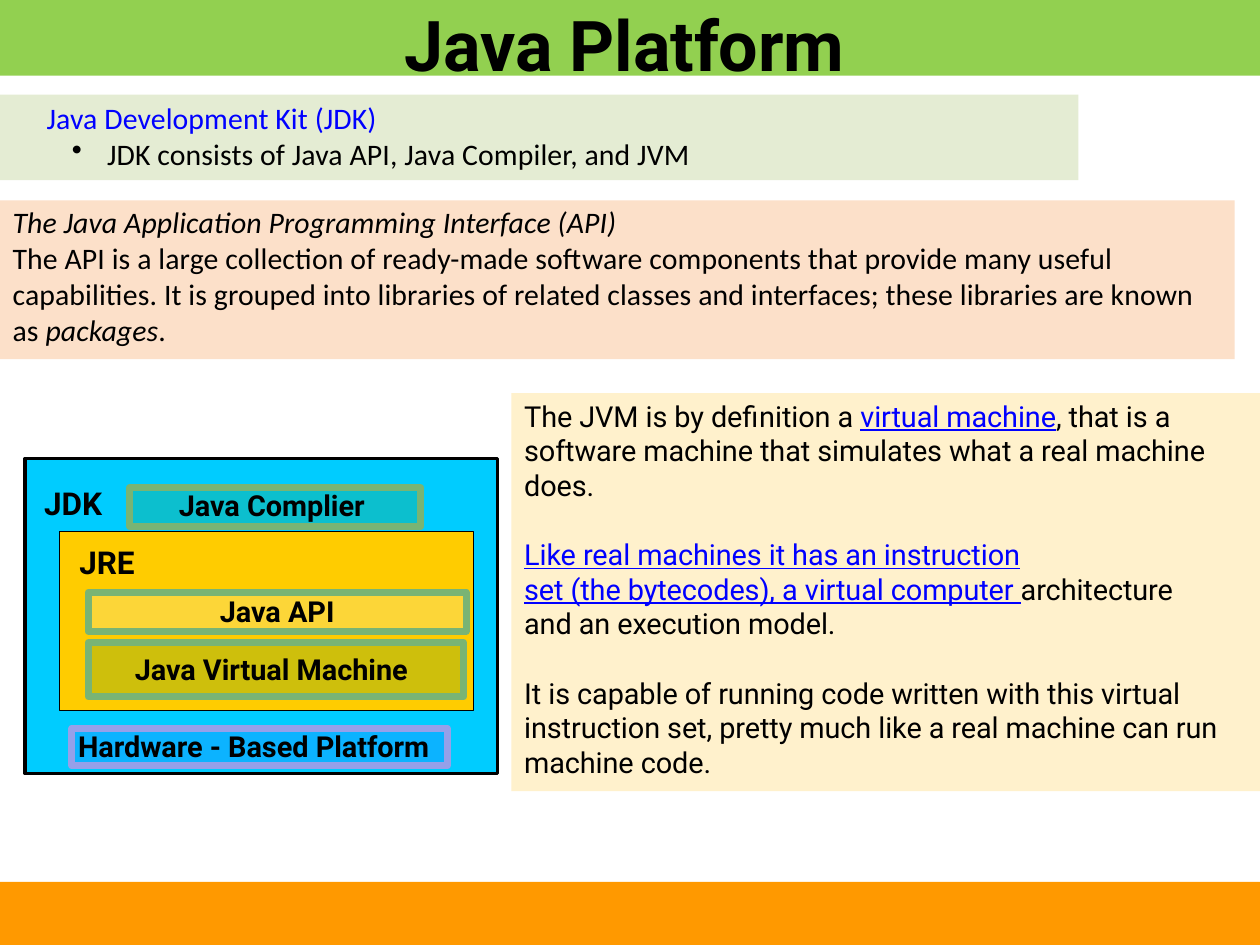
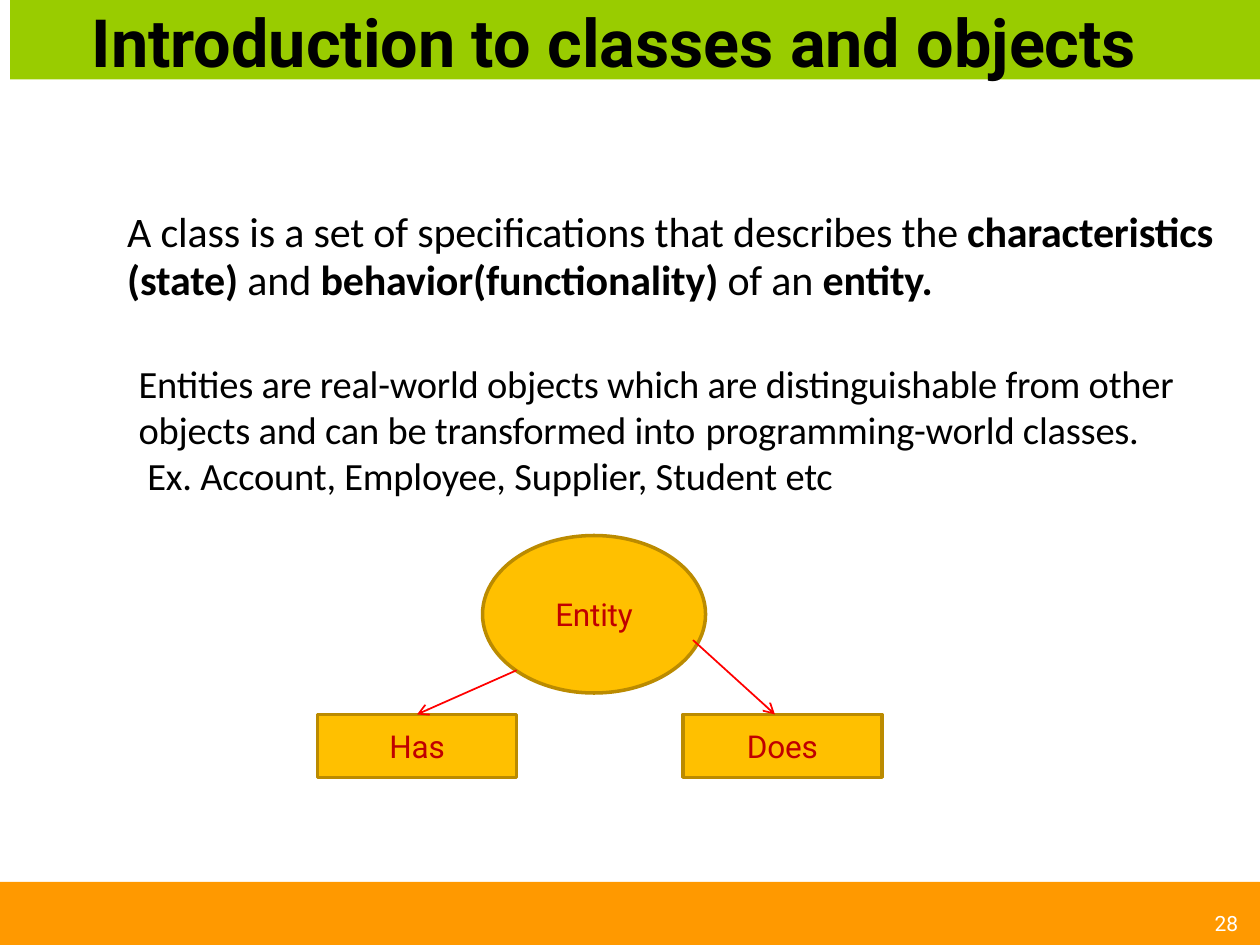
from dataclasses import dataclass, field
from typing import NamedTuple, Optional

from lxml import etree
from pptx import Presentation
from pptx.dml.color import RGBColor
from pptx.enum.shapes import MSO_CONNECTOR, MSO_SHAPE
from pptx.enum.text import MSO_ANCHOR, MSO_AUTO_SIZE, PP_ALIGN
from pptx.oxml.ns import qn
from pptx.util import Inches, Pt

RECT, OVAL = MSO_SHAPE.RECTANGLE, MSO_SHAPE.OVAL
STRAIGHT = MSO_CONNECTOR.STRAIGHT
TOP, MIDDLE = MSO_ANCHOR.TOP, MSO_ANCHOR.MIDDLE
LEFT, CENTER = PP_ALIGN.LEFT, PP_ALIGN.CENTER
NO_FIT = MSO_AUTO_SIZE.NONE

# Grid: 100 columns by 75 rows over the slide
SLIDE_W, SLIDE_H = Inches(10), Inches(7.5)
CELL = SLIDE_W / 100

BLACK = RGBColor(0x00, 0x00, 0x00)
WHITE = RGBColor(0xFF, 0xFF, 0xFF)
BLUE = RGBColor(0x00, 0x00, 0xFF)
RED = RGBColor(0xFF, 0x00, 0x00)
DARK_RED = RGBColor(0xC0, 0x00, 0x00)
ORANGE = RGBColor(0xFF, 0x99, 0x00)
BAND_GREEN = RGBColor(0x92, 0xD0, 0x50)
BAND_LIME = RGBColor(0x99, 0xCC, 0x00)
PALE_GREEN = RGBColor(0xE4, 0xEC, 0xD3)
PEACH = RGBColor(0xFC, 0xE0, 0xC9)
CREAM = RGBColor(0xFF, 0xF1, 0xCC)
CYAN = RGBColor(0x00, 0xCC, 0xFF)
YELLOW = RGBColor(0xFF, 0xCC, 0x00)
GREEN = RGBColor(0x33, 0x99, 0x33)
IVORY = RGBColor(0xF3, 0xF7, 0xEB)
ROYAL = RGBColor(0x33, 0x66, 0xFF)
SAGE = RGBColor(0x79, 0xB4, 0x74)
LILAC = RGBColor(0x96, 0xA0, 0xE9)
GOLD = RGBColor(0xFF, 0xC0, 0x00)
DARK_GOLD = RGBColor(0xBB, 0x8B, 0x00)

ROBOTO = {"name": "Roboto", "size": Pt(16.5), "color": BLACK}
LABEL = ROBOTO | {"bold": True}
CALIBRI = {"name": "Calibri", "size": Pt(17), "color": BLACK}
ENTITY = ROBOTO | {"size": Pt(18), "color": DARK_RED}
BOLD, ITALIC = {"bold": True}, {"italic": True}
LINK = {"color": BLUE, "underline": True}


class Box(NamedTuple):
    col: float
    row: float
    cols: float
    rows: float


class Run(NamedTuple):
    text: str
    fmt: dict = {}


@dataclass
class Para:
    runs: list
    margin: float = 0
    indent: float = 0
    before: float = 0
    line: Optional[float] = None
    bullet: str = ""
    tab: float = 0


@dataclass
class Text:
    paras: list
    fmt: dict
    left: float = 0
    top: float = 0.1
    align: PP_ALIGN = LEFT
    anchor: MSO_ANCHOR = TOP
    tracking: float = 0


@dataclass
class Panel:
    box: Box
    fill: RGBColor
    line: Optional[RGBColor] = None
    weight: float = 0
    alpha: int = 100
    kind: MSO_SHAPE = RECT
    text: Optional[Text] = field(default=None)


def cells(n: float) -> int:
    return round(n * CELL)


def plain(text: str, **layout) -> Para:
    return Para([Run(text)], **layout)


def format_para(p, para: Para, align: PP_ALIGN) -> None:
    pPr = p._p.get_or_add_pPr()
    pPr.set("marL", str(cells(para.margin)))
    pPr.set("indent", str(cells(para.indent)))
    p.alignment = align
    p.space_before = Pt(para.before)
    if para.line:
        p.line_spacing = Pt(para.line)
    if para.bullet:
        etree.SubElement(pPr, qn("a:buChar"), char=para.bullet)
    if para.tab:
        tabs = etree.SubElement(pPr, qn("a:tabLst"))
        etree.SubElement(tabs, qn("a:tab"), pos=str(cells(para.tab)), algn="l")


def write(sp, text: Text) -> None:
    tf = sp.text_frame
    frame = {"word_wrap": True, "auto_size": NO_FIT, "vertical_anchor": text.anchor,
             "margin_left": cells(text.left), "margin_top": cells(text.top),
             "margin_right": 0, "margin_bottom": 0}
    for name, value in frame.items():
        setattr(tf, name, value)
    for i, para in enumerate(text.paras):
        p = tf.add_paragraph() if i else tf.paragraphs[0]
        format_para(p, para, text.align)
        for run in para.runs:
            r = p.add_run()
            r.text = run.text
            for name, value in (text.fmt | run.fmt).items():
                if name == "color":
                    r.font.color.rgb = value
                else:
                    setattr(r.font, name, value)
            if text.tracking:
                r._r.get_or_add_rPr().set("spc", str(round(text.tracking * 100)))


def add_text(slide, box: Box, text: Text) -> None:
    write(slide.shapes.add_textbox(*map(cells, box)), text)


def add_panel(slide, panel: Panel) -> None:
    sp = slide.shapes.add_shape(panel.kind, *map(cells, panel.box))
    sp.shadow.inherit = False
    sp.fill.solid()
    sp.fill.fore_color.rgb = panel.fill
    if panel.alpha < 100:
        color = sp._element.spPr.find(qn("a:solidFill"))[0]
        etree.SubElement(color, qn("a:alpha"), val=str(panel.alpha * 1000))
    if panel.line is None:
        sp.line.fill.background()
    else:
        sp.line.color.rgb = panel.line
        sp.line.width = Pt(panel.weight)
    if panel.text:
        write(sp, panel.text)


def add_arrow(slide, start: tuple, end: tuple) -> None:
    cx = slide.shapes.add_connector(STRAIGHT, *map(cells, start + end))
    cx.line.color.rgb = RED
    cx.line.width = Pt(1)
    etree.SubElement(cx.line._get_or_add_ln(), qn("a:tailEnd"), type="arrow")
    etree.SubElement(cx._element.spPr, qn("a:effectLst"))


def start_slide(prs, title: str, size: float, box: Box, band: Panel):
    """Add a slide with its title, title band and footer band."""
    slide = prs.slides.add_slide(prs.slide_layouts[5])
    add_panel(slide, Panel(Box(0, 70, 100, 5), ORANGE))
    add_panel(slide, band)
    sp = slide.shapes.title
    slide.shapes._spTree.append(sp._element)  # bring in front of the band
    sp.left, sp.top, sp.width, sp.height = map(cells, box)
    write(sp, Text([plain(title)], LABEL | {"size": Pt(size)}, left=0.1, tracking=-0.05))
    return slide


def build_platform(prs) -> None:
    slide = start_slide(prs, "Java Platform", 40, Box(32, 0, 36.1, 6.9),
                        Panel(Box(0, 0, 100, 6), BAND_GREEN))

    # Nested platform diagram
    def layer(box: Box, fill: RGBColor, line: RGBColor, name: str, **layout) -> Panel:
        return Panel(box, fill, line, 4, 24, text=Text([plain(name)], LABEL, **layout))

    for panel in (
        Panel(Box(2, 36.4, 37.5, 25), CYAN, BLACK, 2),
        Panel(Box(4.7, 42.2, 32.9, 14.2), YELLOW, BLACK, 0.75),
        layer(Box(7, 51, 29.8, 4.3), GREEN, SAGE, "Java Virtual Machine", left=3.7, top=0.7),
        layer(Box(7, 47, 30, 3.1), IVORY, SAGE, "Java API", align=CENTER),
        layer(Box(5.7, 57.8, 29.8, 3), ROYAL, LILAC, "Hardware - Based Platform",
              left=0.5, top=0),
        layer(Box(10.3, 38.7, 23.1, 3.1), GREEN, SAGE, "Java Complier", left=3.9, top=0),
    ):
        add_panel(slide, panel)
    add_text(slide, Box(3.5, 36.6, 8, 9.7),
             Text([plain("JDK"), plain("JRE", margin=2.8, before=12.2)],
                  LABEL | {"size": Pt(18)}, top=1.8))

    # Virtual machine notes, evenly spaced
    add_panel(slide, Panel(Box(40.6, 31.2, 59.4, 31.6), CREAM))
    notes = [
        [Para([Run("The JVM is by definition a "), Run("virtual machine", LINK),
               Run(", that is a software machine that simulates what a real machine does.")])],
        [Para([Run("Like real machines it has an instruction", LINK)]),
         Para([Run("set (the bytecodes), a virtual computer ", LINK), Run("architecture")]),
         plain("and an execution model.")],
        [plain("It is capable of running code written with this virtual instruction set, "
               "pretty much like a real machine can run machine code.")],
    ]
    for i, paras in enumerate(notes):
        add_text(slide, Box(41.5, 31.5 + 11 * i, 55.5, 8.5),
                 Text(paras, ROBOTO, left=0.1, tracking=-0.04))

    # Development kit and API description
    add_panel(slide, Panel(Box(0, 7.5, 85.6, 6.8), PALE_GREEN))
    add_panel(slide, Panel(Box(0, 15.9, 98, 12.6), PEACH))
    add_text(slide, Box(0.9, 7.7, 94.6, 20.2), Text([
        Para([Run("Java Development Kit (JDK)", {"color": BLUE})], margin=2.8),
        plain("JDK consists of Java API, Java Compiler, and JVM",
              margin=7.6, indent=-2.8, before=0.2, bullet="•"),
        Para([Run("The Java Application Programming Interface (API)", ITALIC)],
             margin=0.1, before=18.5),
        plain("The API is a large collection of ready-made software components "
              "that provide many useful", margin=0.1, before=0.2),
        Para([Run("capabilities. It is grouped into libraries of related classes and "
                  "interfaces; these libraries are known as "),
              Run("packages", ITALIC), Run(".")], margin=0.1, before=0.1),
    ], CALIBRI, top=0.2, tracking=0.05))


def build_classes(prs) -> None:
    slide = start_slide(prs, "Introduction to classes and objects", 38,
                        Box(7.2, 0, 86.4, 6.6), Panel(Box(0.8, 0, 99.2, 6.3), BAND_LIME))

    # Definition
    small = {"size": Pt(22)}
    add_text(slide, Box(10, 16.4, 87.5, 23.4), Text([
        Para([Run("A class is a set of specifications that describes the "),
              Run("characteristics", BOLD)], margin=0.1, line=27.4),
        Para([Run("(state)", BOLD), Run(" and "), Run("behavior(functionality)", BOLD),
              Run(" of an "), Run("entity.", BOLD)], margin=0.1, line=27.4),
        Para([Run("Entities are real-world objects which are distinguishable from other",
                  small)], margin=1, before=32),
        Para([Run("objects and can be transformed into\tprogramming-world classes.", small)],
             margin=1, tab=47.1),
        Para([Run("Ex. Account, Employee, Supplier, Student etc", small)],
             margin=1.7, before=0.1),
    ], CALIBRI | {"size": Pt(24)}, tracking=-0.1))

    # Entity diagram
    def node(box: Box, name: str, kind: MSO_SHAPE = RECT) -> Panel:
        return Panel(box, GOLD, DARK_GOLD, 2, kind=kind,
                     text=Text([plain(name)], ENTITY, top=0, align=CENTER,
                               anchor=MIDDLE, tracking=-0.1))

    add_panel(slide, node(Box(38.3, 42.5, 17.7, 12.5), "Entity", OVAL))
    for i, name in enumerate(("Has", "Does")):
        add_panel(slide, node(Box(25.2 + 29 * i, 56.7, 15.8, 5), name))
    add_arrow(slide, (41, 53.2), (33.1, 56.7))
    add_arrow(slide, (55, 50.8), (61.5, 56.7))

    # Slide number
    add_text(slide, Box(96, 72.3, 2.6, 2.2),
             Text([plain("28")], ROBOTO | {"size": Pt(12), "color": WHITE}, left=0.4, top=0))


def main() -> None:
    prs = Presentation()
    prs.slide_width, prs.slide_height = SLIDE_W, SLIDE_H
    build_platform(prs)
    build_classes(prs)
    prs.save("out.pptx")


if __name__ == "__main__":
    main()
